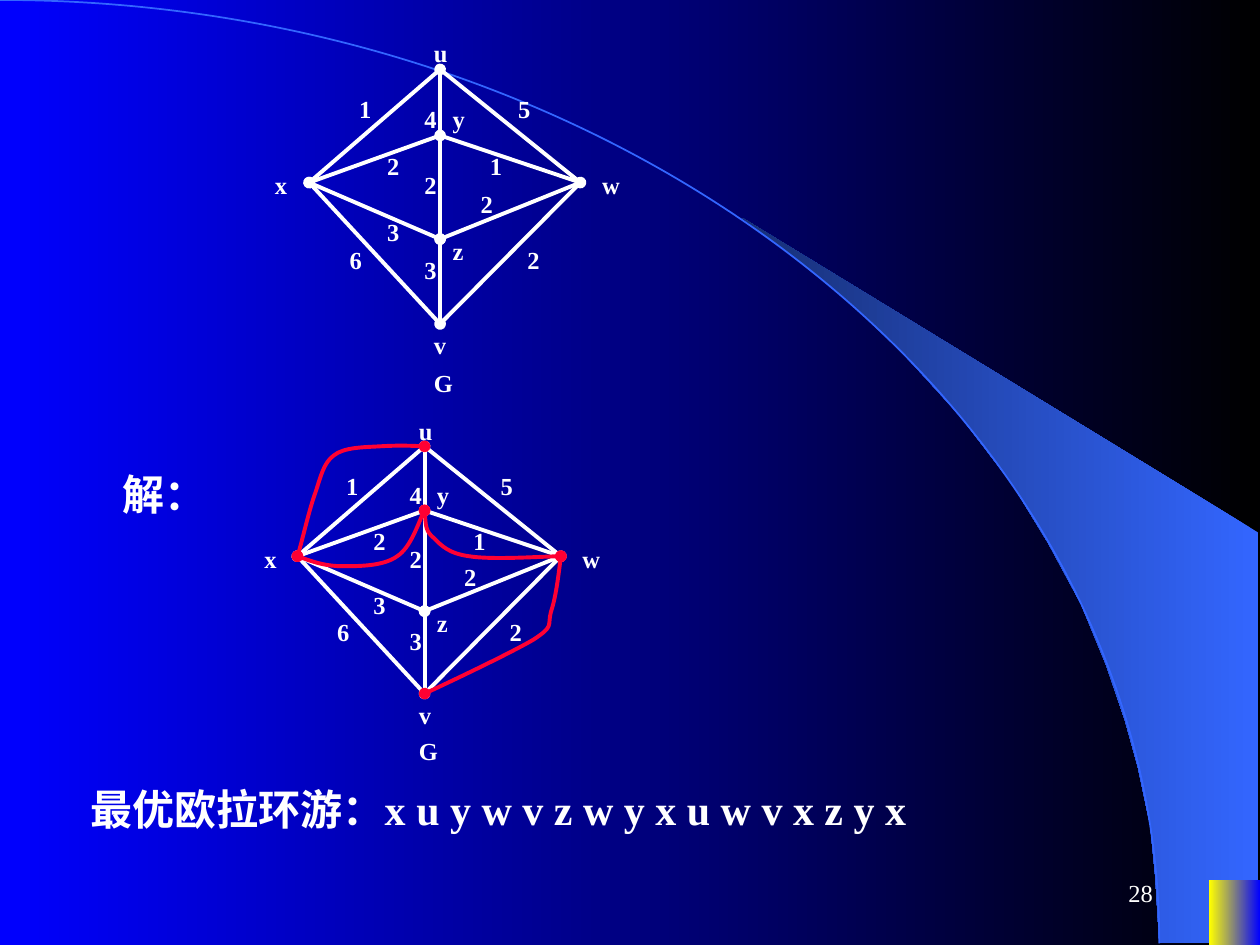
from pptx import Presentation
from pptx.dml.color import RGBColor
from pptx.enum.shapes import MSO_CONNECTOR as CONN, MSO_SHAPE as SHAPE
from pptx.enum.text import MSO_ANCHOR as ANCHOR, PP_ALIGN as ALIGN
from pptx.oxml.ns import qn
from pptx.util import Cm, Pt
from lxml.etree import SubElement

BLACK = RGBColor(0x00, 0x00, 0x00)
WHITE = RGBColor(0xFF, 0xFF, 0xFF)
BLUE = RGBColor(0x00, 0x00, 0xFF)
YELLOW = RGBColor(0xFF, 0xFF, 0x00)
SKY = RGBColor(0x33, 0x66, 0xFF)
NAVY = RGBColor(0x17, 0x2F, 0x75)
RED = RGBColor(0xFF, 0x00, 0x33)
FONT = "Times New Roman"

GRID = 35
NODES = {"u": (19, 4), "y": (19, 11), "x": (5, 16), "w": (34, 16), "z": (19, 22), "v": (19, 31)}
EDGES = ["xz", "ux", "uy", "xy", "yz", "zv", "xv", "uw", "yw", "wz", "wv"]
DOTTED = {"ux", "yz", "xv", "wz"}
LABELS = [
    ("u", 17, 0), ("y", 19, 7), ("x", 0, 14), ("w", 35, 14), ("z", 19, 21),
    ("v", 17, 31), ("G", 17, 35), ("1", 9, 6), ("4", 16, 7), ("5", 26, 6),
    ("2", 12, 12), ("1", 23, 12), ("2", 16, 14), ("2", 22, 16), ("3", 12, 19),
    ("3", 16, 23), ("6", 8, 22), ("2", 27, 22),
]
REPEATED_EDGES = [
    [(19, 4), (17.3, 3.9), (15.6, 3.9), (14, 4), (12.3, 4.1), (10.1, 4.1), (9, 5),
     (7.9, 5.8), (7.6, 7.2), (7, 9), (6.3, 10.9), (5.4, 14.9), (5, 16)],
    [(5, 16), (6.6, 16.6), (8.2, 17.1), (10, 17.1), (11.8, 17.1), (14.5, 17.1), (16, 16),
     (17.4, 15.1), (18.5, 11.9), (19, 11)],
    [(19, 11), (19.1, 12.2), (19.1, 13.3), (20, 14), (20.9, 14.9), (21.7, 15.7), (23.9, 16),
     (26.3, 16.4), (32.3, 16), (34, 16)],
    [(34, 16), (33.7, 18.4), (33.4, 20.6), (32.9, 22.1), (32.5, 23.6), (33.3, 23.6), (31, 25.1),
     (28.6, 26.5), (21, 30.1), (19, 31)],
]
WEDGE = [
    (23.37, 19), (25.37, 19.02), (25.37, 10.74), (14.96, 4.39), (15.85, 5.05), (16.59, 5.64),
    (17.4, 6.35), (18.19, 7.11), (19.35, 8.38), (20.4, 9.75), (21.13, 10.95), (21.79, 12.17),
    (22.3, 13.41), (22.68, 14.53), (22.94, 15.47), (23.19, 16.66), (23.29, 17.68),
]


def set_gradient(fill, start, end):
    fill.gradient()
    fill.gradient_angle = 180
    for stop, color in zip(fill.gradient_stops, (start, end)):
        stop.color.rgb = color


def set_line(sp, color, width, dotted=False):
    sp.line.color.rgb = color
    sp.line.width = Pt(width)
    if dotted:
        for end in ("a:headEnd", "a:tailEnd"):
            SubElement(sp.line._get_or_add_ln(), qn(end), type="oval")


def add_text(shapes, text, left, top, width, height, size, bold=True, indent=0):
    sp = shapes.add_textbox(Cm(left), Cm(top), Cm(width), Cm(height))
    tf = sp.text_frame
    tf.word_wrap = True
    p = tf.paragraphs[0]
    if indent:
        p._p.get_or_add_pPr().set("marL", str(Cm(indent)))
    r = p.add_run()
    r.text = text
    r.font.name = FONT
    r.font.size = Pt(size)
    r.font.bold = bold
    r.font.color.rgb = WHITE
    return tf


def add_outline(shapes, points, close=False):
    pts = [(Cm(x), Cm(y)) for x, y in points]
    fb = shapes.build_freeform(*pts[0])
    fb.add_line_segments(pts[1:], close=close)
    sp = fb.convert_to_shape()
    sp.shadow.inherit = False
    return sp


def add_curve(shapes, box, ctrl):
    left, top, right, bottom = box
    sp = add_outline(shapes, [(left, top), (right, bottom)])
    sp.fill.background()
    paths = sp._element.spPr.find(qn("a:custGeom")).find(qn("a:pathLst"))
    paths.clear()
    curve = SubElement(paths, qn("a:path"), w=str(sp.width), h=str(sp.height))
    groups = [("a:moveTo", ctrl[:1])]
    groups += [("a:cubicBezTo", ctrl[i:i + 3]) for i in range(1, len(ctrl), 3)]
    for tag, pts in groups:
        step = SubElement(curve, qn(tag))
        for x, y in pts:
            SubElement(step, qn("a:pt"), x=str(Cm(x - left)), y=str(Cm(y - top)))
    return sp


def add_backdrop(s, width, height):
    set_gradient(s.background.fill, BLACK, BLUE)
    shapes = s.shapes.add_group_shape().shapes
    wedge = add_outline(shapes, WEDGE, close=True)
    set_gradient(wedge.fill, SKY, NAVY)
    wedge.line.fill.background()

    rx, ry = 23.37, 19.02
    quarter = [(0, 0), (0.55 * rx, 0), (rx, 0.45 * ry), (rx, ry)]
    arc = add_curve(shapes, (-rx, 0, rx, 2 * ry), quarter)
    set_line(arc, SKY, 1)

    w, h = 1.02, 1.31
    corner = s.shapes.add_shape(SHAPE.RECTANGLE, Cm(width - w), Cm(height - h), Cm(w), Cm(h))
    corner.shadow.inherit = False
    set_gradient(corner.fill, BLUE, YELLOW)
    corner.line.fill.background()


def add_graph(s, left, top, width, height, curves=()):
    dx, dy = width / GRID, height / GRID
    shapes = s.shapes.add_group_shape().shapes

    def place(point):
        return left + point[0] * dx, top + point[1] * dy

    for edge in EDGES:
        (x1, y1), (x2, y2) = (place(NODES[n]) for n in edge)
        line = shapes.add_connector(CONN.STRAIGHT, Cm(x1), Cm(y1), Cm(x2), Cm(y2))
        set_line(line, WHITE, 2.25, edge in DOTTED)
        SubElement(line._element.spPr, qn("a:effectLst"))
    for text, col, row in LABELS:
        x, y = place((col, row))
        add_text(shapes, text, x, y, (5 if text == "G" else 4.15) * dx, 0.86, 14)
    for ctrl in curves:
        pts = [place(q) for q in ctrl]
        xs, ys = zip(*pts)
        curve = add_curve(shapes, (min(xs), min(ys), max(xs), max(ys)), pts)
        set_line(curve, RED, 2.25, dotted=True)


def add_statement(s, text, left, top, width, height):
    add_text(s.shapes, text, left, top, width, height, 24, indent=1.15)


def add_page_number(s, left, top, width, height):
    tf = add_text(s.shapes, "28", left, top, width, height, 14, bold=False)
    tf.vertical_anchor = ANCHOR.MIDDLE
    tf.paragraphs[0].alignment = ALIGN.RIGHT


def main():
    width, height = 25.4, 19.05
    prs = Presentation()
    prs.slide_width, prs.slide_height = Cm(width), Cm(height)
    s = prs.slides.add_slide(prs.slide_layouts[6])
    add_backdrop(s, width, height)
    add_statement(s, "解：", 1.07, 9.32, 22.02, 1.27)
    add_graph(s, 5.29, 0.64, 6.6, 6.65)
    add_graph(s, 5.08, 8.26, 6.41, 6.46, REPEATED_EDGES)
    add_statement(s, "最优欧拉环游：x u y w v z w y x u w v x z y x", 0.43, 15.67, 22.02, 1.27)
    add_page_number(s, 18.21, 17.36, 5.28, 1.27)
    prs.save("out.pptx")


if __name__ == "__main__":
    main()
